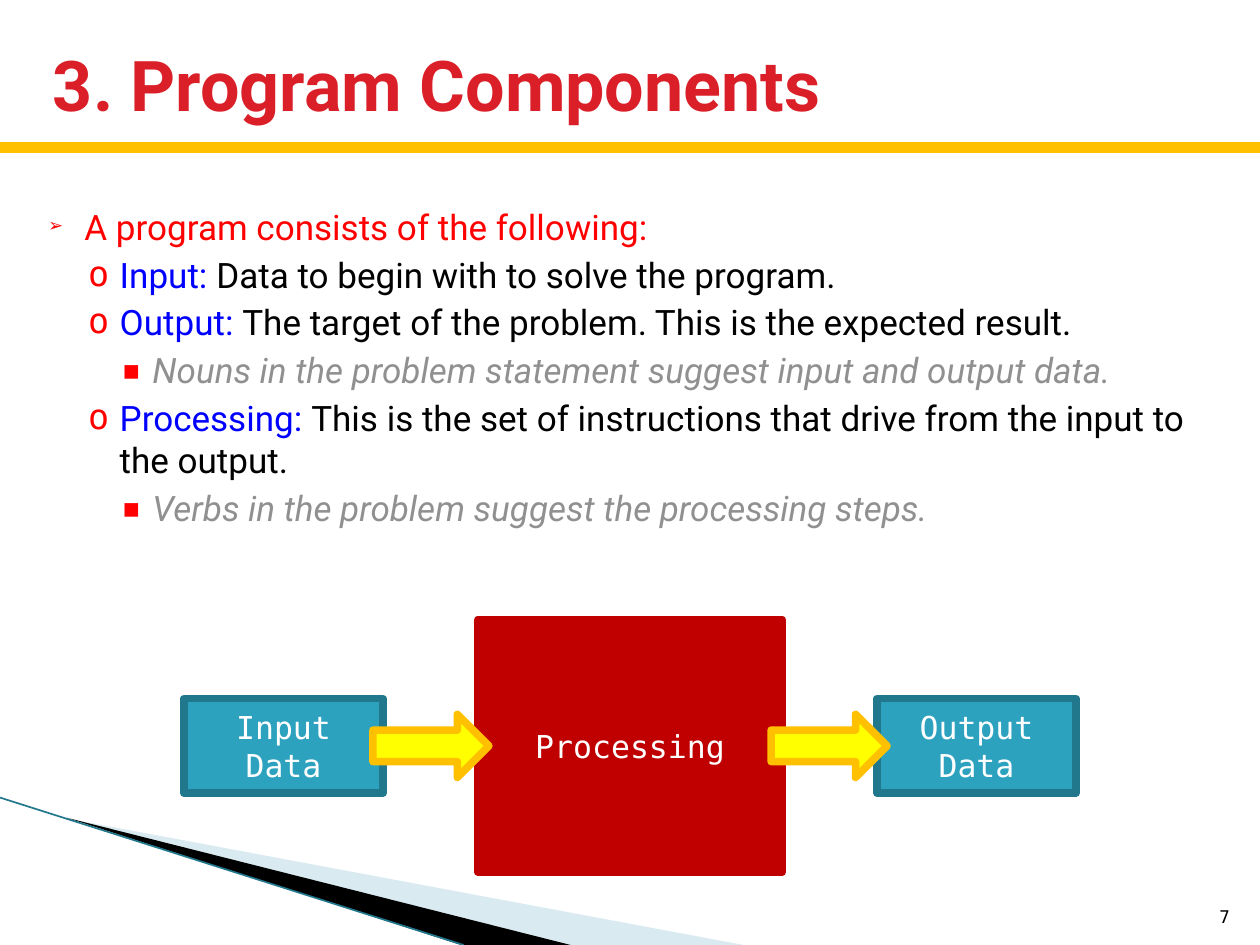
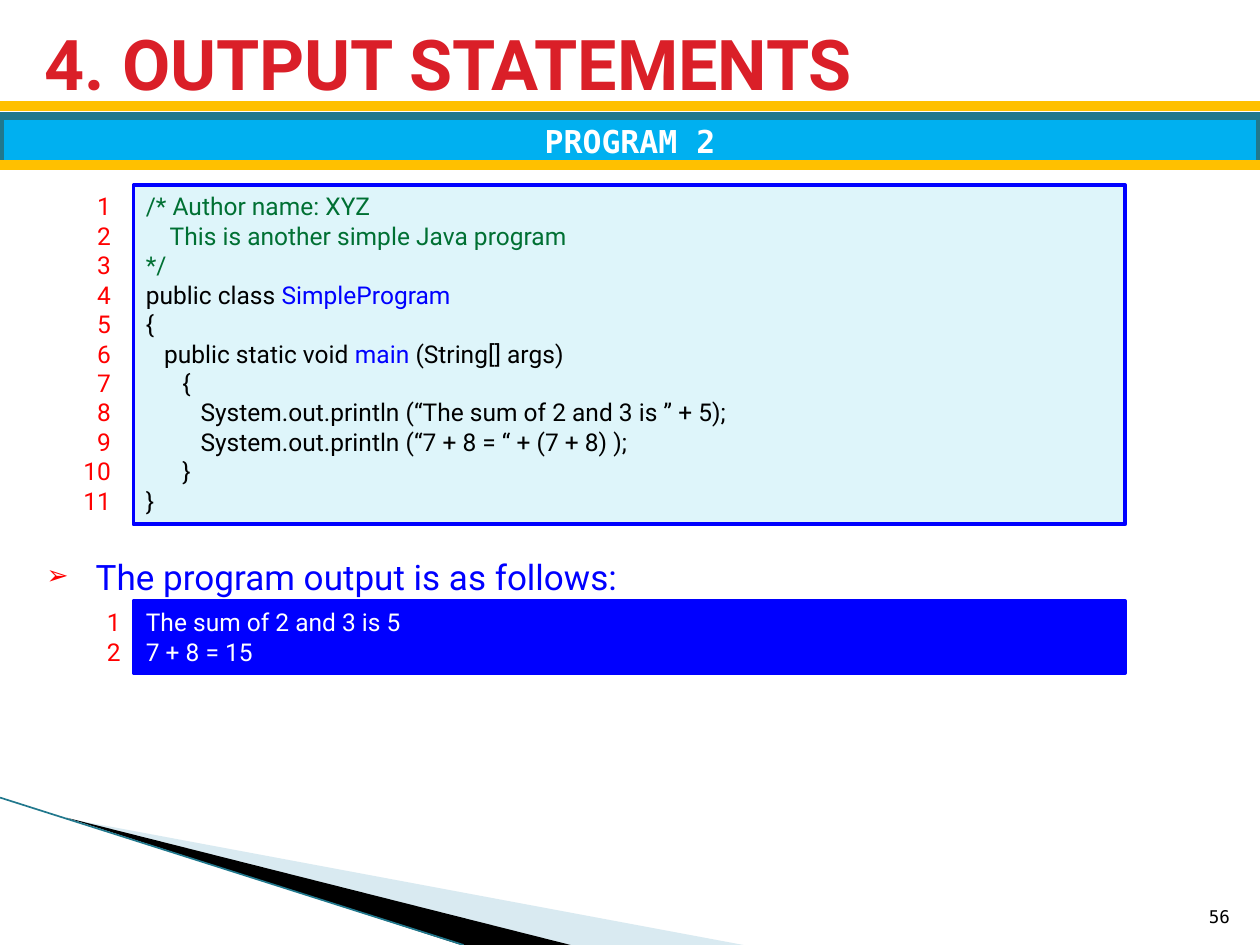
from lxml import etree
from pptx import Presentation
from pptx.dml.color import RGBColor
from pptx.enum.shapes import MSO_CONNECTOR, MSO_SHAPE
from pptx.enum.text import MSO_ANCHOR, MSO_AUTO_SIZE, PP_ALIGN
from pptx.oxml.ns import qn
from pptx.util import Inches, Pt

RECT, ARROW = MSO_SHAPE.RECTANGLE, MSO_SHAPE.RIGHT_ARROW
STRAIGHT = MSO_CONNECTOR.STRAIGHT
TOP, MIDDLE, BOTTOM = MSO_ANCHOR.TOP, MSO_ANCHOR.MIDDLE, MSO_ANCHOR.BOTTOM
LEFT, CENTER, RIGHT = PP_ALIGN.LEFT, PP_ALIGN.CENTER, PP_ALIGN.RIGHT
NO_FIT = MSO_AUTO_SIZE.NONE

W, H = 10, 7.5
SANS, MONO = "Roboto", "DejaVu Sans Mono"
BLACK, WHITE, RED, BLUE = "000000", "FFFFFF", "FF0000", "0000FF"
TITLE, GOLD, TEAL, EDGE = "DA1F28", "FFC000", "2DA2BF", "21788D"
CRIMSON, YELLOW, SKY, PALE = "C00000", "FFFF00", "00B0F0", "DEF5FA"
GREY, GREEN, MIST = "909090", "007033", "A0CBDC"
THICK, BORDER = 4.33, 2.25

COMPONENTS = [
    (0, [("A program consists of the following:", RED)]),
    (1, [("Input: ", BLUE), ("Data to begin with to solve the program.", BLACK)]),
    (1, [("Output: ", BLUE),
         ("The target of the problem. This is the expected result.", BLACK)]),
    (2, [("Nouns in the problem statement suggest input and output data.", GREY)]),
    (1, [("Processing: ", BLUE),
         ("This is the set of instructions that drive from the input to the output.", BLACK)]),
    (2, [("Verbs in the problem suggest the processing steps.", GREY)]),
]
LEVELS = [
    dict(char="➢", margin=0.4, hang=0.28, before=4, size=68),
    dict(char="o", margin=0.68, hang=0.25, before=3.2),
    dict(char="▪", margin=0.94, hang=0.25, before=3.5),
]
OUTPUT_LEVELS = [dict(char="➢", margin=0.38, hang=0.38, before=0)]
OUTPUT_LIST = [(0, [("The program output is as follows:", BLUE)])]

FLOW_Y = 5.92
FLOW = [
    (RECT, 2.25, 1.58, 0.75, TEAL, EDGE, "Input Data"),
    (RECT, 7.75, 1.58, 0.75, TEAL, EDGE, "Output Data"),
    (RECT, 5, 2.42, 2, CRIMSON, CRIMSON, "Processing"),
    (ARROW, 3.42, 0.92, 0.5, YELLOW, GOLD, ""),
    (ARROW, 6.58, 0.92, 0.5, YELLOW, GOLD, ""),
]

CODE = [
    [("/* Author name: XYZ", GREEN)],
    [("    This is another simple Java program", GREEN)],
    [("*/", GREEN)],
    [("public class ", BLACK), ("SimpleProgram", BLUE)],
    [("{", BLACK)],
    [("   public static void ", BLACK), ("main ", BLUE), ("(String[] args)", BLACK)],
    [("      {", BLACK)],
    [("         System.out.println (“The sum of 2 and 3 is ” + 5);", BLACK)],
    [("         System.out.println (“7 + 8 = “ + (7 + 8) );", BLACK)],
    [("      }", BLACK)],
    [("}", BLACK)],
]
OUTPUT = [[("The sum of 2 and 3 is 5", WHITE)], [("7 + 8 = 15", WHITE)]]

WEDGES = [
    ([(0.55, 6.5), (5.9, H), (4.52, H)], MIST, 40),
    ([(0.53, 6.49), (4.53, H), (3.66, H)], BLACK, 100),
]


def rgb(value):
    return RGBColor.from_string(value)


def place(sp, box):
    sp.left, sp.top, sp.width, sp.height = map(Inches, box)


def write(p, runs, size, font, bold=False, italic=False):
    for text, color in runs:
        r = p.add_run()
        r.text = text
        f = r.font
        f.name, f.size, f.bold, f.italic = font, Pt(size), bold, italic
        f.color.rgb = rgb(color)


def fill_text(sp, lines, size, font, align=LEFT, anchor=TOP, bold=False):
    tf = sp.text_frame
    tf.word_wrap, tf.auto_size, tf.vertical_anchor = True, NO_FIT, anchor
    for i, runs in enumerate(lines):
        p = tf.add_paragraph() if i else tf.paragraphs[0]
        p.alignment = align
        write(p, runs, size, font, bold)


def bullet(p, char, margin, hang, before, size=100):
    pPr = p._p.get_or_add_pPr()
    pPr.set("marL", str(Inches(margin)))
    pPr.set("indent", str(-Inches(hang)))
    color = etree.SubElement(pPr, qn("a:buClr"))
    etree.SubElement(color, qn("a:srgbClr"), val=RED)
    etree.SubElement(pPr, qn("a:buSzPct"), val=str(size * 1000))
    etree.SubElement(pPr, qn("a:buFont"), typeface=MONO)
    etree.SubElement(pPr, qn("a:buChar"), char=char)
    p.space_before = Pt(before)


def fill_list(sp, items, levels):
    tf = sp.text_frame
    tf.word_wrap, tf.auto_size = True, NO_FIT
    for i, (level, runs) in enumerate(items):
        p = tf.add_paragraph() if i else tf.paragraphs[0]
        p.level = level
        bullet(p, **levels[level])
        if i == 0:
            p.space_before = Pt(0)
        write(p, runs, 20, SANS, italic=level == 2)


def add_box(s, kind, box, fill, edge, width):
    sp = s.shapes.add_shape(kind, *map(Inches, box))
    sp.shadow.inherit = False
    sp.fill.solid()
    sp.fill.fore_color.rgb = rgb(fill)
    sp.line.color.rgb = rgb(edge)
    sp.line.width = Pt(width)
    return sp


def add_text(s, box, lines, size, font, **style):
    sp = s.shapes.add_textbox(*map(Inches, box))
    fill_text(sp, lines, size, font, **style)
    return sp


def add_line(s, x1, y1, x2, y2, color, width):
    c = s.shapes.add_connector(STRAIGHT, *map(Inches, (x1, y1, x2, y2)))
    c.line.color.rgb = rgb(color)
    c.line.width = Pt(width)
    etree.SubElement(c._element.spPr, qn("a:effectLst"))


def add_rule(s, y):
    add_line(s, 0, y, W, y, GOLD, 6)


def add_wedge(s, points, color, alpha):
    points = [(Inches(x), Inches(y)) for x, y in points]
    fb = s.shapes.build_freeform(*points[0])
    fb.add_line_segments(points[1:])
    sp = fb.convert_to_shape()
    sp.shadow.inherit = False
    sp.line.fill.background()
    sp.fill.solid()
    sp.fill.fore_color.rgb = rgb(color)
    clr = sp._element.spPr.find(qn("a:solidFill"))[0]
    etree.SubElement(clr, qn("a:alpha"), val=str(alpha * 1000))


def add_slide(prs, title, title_box, body_box, items, levels, number):
    s = prs.slides.add_slide(prs.slide_layouts[1])
    for wedge in WEDGES:
        add_wedge(s, *wedge)
    add_line(s, 0, 6.33, 3.68, H, EDGE, 0.95)
    place(s.shapes.title, title_box)
    fill_text(s.shapes.title, [[(title, TITLE)]], 40, SANS, anchor=MIDDLE, bold=True)
    body = s.placeholders[1]
    place(body, body_box)
    fill_list(body, items, levels)
    add_text(s, (9.46, 7.01, 0.4, 0.4), [[(number, BLACK)]], 10, MONO,
             align=RIGHT, anchor=BOTTOM)
    return s


def numbers(lines):
    return [[(str(i), RED)] for i in range(1, len(lines) + 1)]


def add_components(prs):
    s = add_slide(prs, "3. Program Components", (0.32, 0.25, 9.35, 0.83),
                  (0.17, 1.58, 9.5, 2.92), COMPONENTS, LEVELS, "7")
    for kind, x, w, h, fill, edge, label in FLOW:
        sp = add_box(s, kind, (x - w / 2, FLOW_Y - h / 2, w, h), fill, edge, THICK)
        if label:
            fill_text(sp, [[(label, WHITE)]], 18, MONO, CENTER, MIDDLE)
    add_rule(s, 1.17)


def add_output(prs):
    s = add_slide(prs, "4. OUTPUT STATEMENTS", (0.25, 0.17, 9.47, 0.65),
                  (0.28, 4.36, 9.45, 0.44), OUTPUT_LIST, OUTPUT_LEVELS, "56")
    band = add_box(s, RECT, (0, 0.92, W, 0.39), SKY, EDGE, THICK)
    fill_text(band, [[("PROGRAM 2", WHITE)]], 18, MONO, CENTER, MIDDLE, True)
    for y in (0.84, 1.31):
        add_rule(s, y)
    for lines, y, h, fill, x, w, align in (
            (CODE, 1.47, 2.69, PALE, 0.51, 0.47, RIGHT),
            (OUTPUT, 4.77, 0.57, BLUE, 0.75, 0.24, LEFT)):
        panel = add_box(s, RECT, (1.06, y, 7.87, h), fill, BLUE, BORDER)
        fill_text(panel, lines, 14, SANS)
        count = add_text(s, (x, y, w, h), numbers(lines), 14, SANS, align=align)
        if align == LEFT:
            count.text_frame.margin_right = 0


def main():
    prs = Presentation()
    prs.slide_width, prs.slide_height = Inches(W), Inches(H)
    add_components(prs)
    add_output(prs)
    prs.save("out.pptx")


if __name__ == "__main__":
    main()
